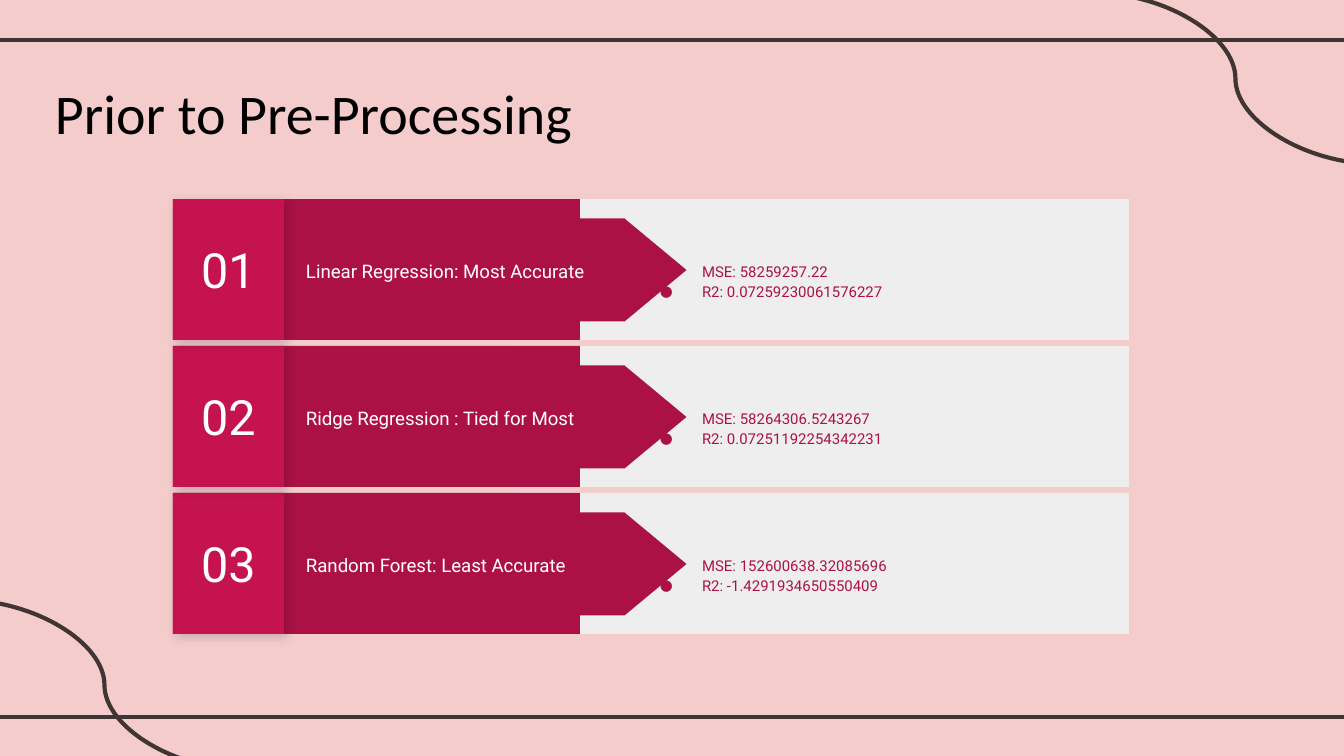
from lxml.etree import SubElement as Sub
from pptx import Presentation
from pptx.dml.color import RGBColor as RGB
from pptx.enum.shapes import MSO_CONNECTOR as Conn, MSO_SHAPE as Kind
from pptx.enum.text import MSO_ANCHOR as Anchor, PP_ALIGN as Align
from pptx.oxml.ns import qn
from pptx.util import Pt

SCALE = 914400 / 134.4
HUES = {"back": "F4CCCC", "line": "3F3533", "panel": "EEEEEE", "dark": "AC1145",
        "base": "B61249", "red": "C4134E", "white": "FFFFFF", "black": "000000"}
ROWS = [
    ("01", "Linear Regression: Most Accurate", 328,
     ["MSE: 58259257.22", "R2: 0.07259230061576227"]),
    ("02", "Ridge Regression : Tied for Most", 312,
     ["MSE: 58264306.5243267", "R2: 0.07251192254342231"]),
    ("03", "Random Forest: Least Accurate", 312,
     ["MSE: 152600638.32085696", "R2: -1.4291934650550409"]),
]
TOP, STEP, HIGH, PAD = 199, 147, 141, 13


def px(*nums):
    return [round(n * SCALE) for n in nums]


def write(shape, lines, size, font, hue, anchor=Anchor.MIDDLE):
    frame = shape.text_frame
    frame.word_wrap = True
    frame.vertical_anchor = anchor
    frame.margin_left = frame.margin_right = px(PAD)[0]
    frame.margin_top = frame.margin_bottom = px(PAD)[0]
    for i, line in enumerate(lines):
        par = frame.add_paragraph() if i else frame.paragraphs[0]
        run = par.add_run()
        run.text = line
        run.font.size = Pt(size)
        run.font.name = font
        run.font.color.rgb = RGB.from_string(HUES[hue])
    return frame


deck = Presentation()
deck.slide_width, deck.slide_height = px(1344, 756)
slide = deck.slides.add_slide(deck.slide_layouts[6])
slide.background.fill.solid()
slide.background.fill.fore_color.rgb = RGB.from_string(HUES["back"])
shapes = slide.shapes

# Rules and corner curves
for kind, *ends in [
    (Conn.STRAIGHT, -11, 40, 1355, 40),
    (Conn.STRAIGHT, -11, 717, 1355, 717),
    (Conn.CURVE, -37, 600, 246, 770),
    (Conn.CURVE, 1094, -7, 1377, 164),
]:
    rule = shapes.add_connector(kind, *px(*ends))
    rule.line.color.rgb = RGB.from_string(HUES["line"])
    rule.line.width = Pt(2.25)
    Sub(rule._element.spPr, qn("a:effectLst"))

# Title
title = shapes.add_textbox(*px(42, 66, 1066, 103))
write(title, ["Prior to Pre-Processing"], 30, "Calibri", "black", Anchor.TOP)

# Model rows, lowest first so that each shadow falls on the row below
for i, (num, name, wide, facts) in reversed(list(enumerate(ROWS))):
    y = TOP + i * STEP
    parts = {}
    for part, kind, hue, *box in [
        ("panel", Kind.RECTANGLE, "panel", 516, y, 613, HIGH),
        ("band", Kind.RECTANGLE, "dark", 284, y, 296, HIGH),
        ("arrow", Kind.FLOWCHART_OFFPAGE_CONNECTOR, "dark", 480, y - 84, 103, 310),
        ("base", Kind.RECTANGLE, "base", 173, y, 111, HIGH),
        ("num", Kind.RECTANGLE, "red", 173, y, 111, HIGH),
    ]:
        shape = parts[part] = shapes.add_shape(kind, *px(*box))
        shape.shadow.inherit = False
        shape.fill.solid()
        shape.fill.fore_color.rgb = RGB.from_string(HUES[hue])
        shape.line.fill.background()
    parts["arrow"].rotation = 270

    # Soft shadow under the number
    glow = parts["base"]._element.spPr.find(qn("a:effectLst"))
    soft = Sub(glow, qn("a:outerShdw"), blurRad=str(Pt(5.6)), dist=str(Pt(2.2)),
               dir="2700000", algn="bl", rotWithShape="0")
    tint = Sub(soft, qn("a:srgbClr"), val=HUES["black"])
    Sub(tint, qn("a:alpha"), val="17000")

    # Number and model name
    frame = write(parts["num"], [num], 26, "Roboto", "white")
    frame.paragraphs[0].alignment = Align.CENTER
    label = shapes.add_textbox(*px(293, y + 16, wide, 109))
    write(label, [name], 10, "Roboto", "white").paragraphs[0].line_spacing = 1.15

    # Scores
    score = shapes.add_textbox(*px(622, y, 477, HIGH))
    frame = write(score, facts, 8, "Roboto", "dark")
    frame.margin_top = px(PAD + 21)[0]
    for par in frame.paragraphs:
        par.line_spacing = 1.15
        prop = par._p.get_or_add_pPr()
        left, hang = px(67, -42)
        prop.set("marL", str(left))
        prop.set("indent", str(hang))
        Sub(Sub(prop, qn("a:buClr")), qn("a:srgbClr"), val=HUES["dark"])
        Sub(prop, qn("a:buSzPts"), val="800")
        Sub(prop, qn("a:buFont"), typeface="Roboto")
        Sub(prop, qn("a:buChar"), char="●")

deck.save("out.pptx")
